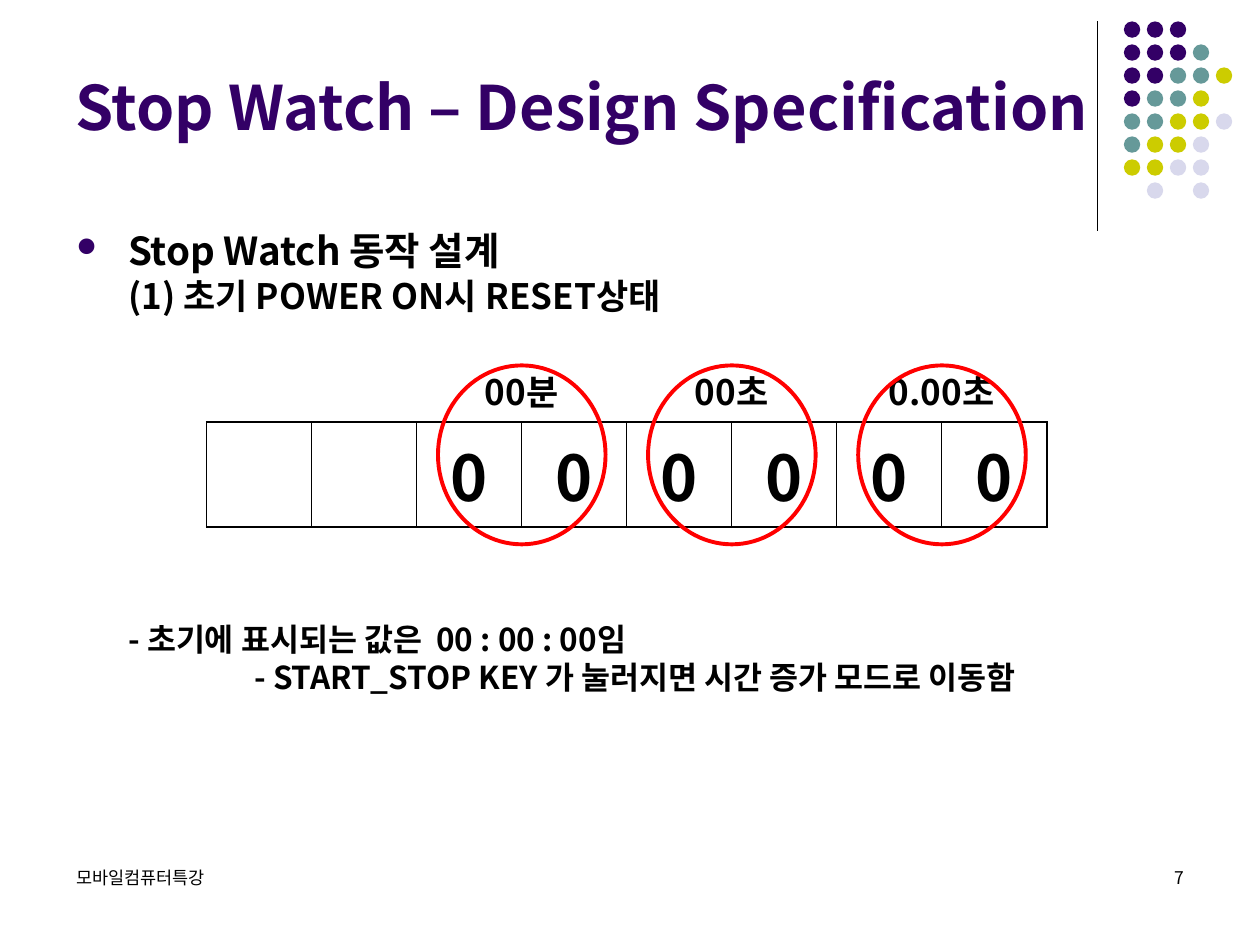
from dataclasses import dataclass

import pptx
import pptx.dml.color
import pptx.enum.shapes
import pptx.enum.text
import pptx.oxml.ns
import pptx.util
from lxml import etree
from pptx.dml.color import RGBColor
from pptx.util import Inches

FONT = "Noto Sans CJK KR"
BLACK = RGBColor(0x00, 0x00, 0x00)
RED = RGBColor(0xFF, 0x00, 0x00)
PURPLE = RGBColor(0x33, 0x00, 0x66)
TEAL = RGBColor(0x66, 0x99, 0x99)
OLIVE = RGBColor(0xCC, 0xCC, 0x00)
LAVENDER = RGBColor(0xD8, 0xD8, 0xEC)

ALIGN = pptx.enum.text.PP_ALIGN
ANCHOR = pptx.enum.text.MSO_ANCHOR
OVAL = pptx.enum.shapes.MSO_SHAPE.OVAL

# One letter per dot; a full stop is a gap
DOT_COLORS = {"P": PURPLE, "T": TEAL, "O": OLIVE, "L": LAVENDER}
DOT_ROWS = ["PPP", "PPPT", "PPTTO", "PTTO", "TTOOL", "TOOL", "OOLL", ".L.L"]
DOT_PITCH = 0.73 / 4

TABLE_LEFT, TABLE_TOP = 1.64, 2.65
COLUMN_COUNT = 8
COLUMN_WIDTH = 6.67 / COLUMN_COUNT
ROW_HEIGHTS = (0.7, 0.83)
THIN, THICK = 0.45, 1.08


@dataclass
class Line:
    text: str
    size: float
    color: RGBColor = BLACK
    bold: bool = True
    align: ALIGN = ALIGN.LEFT
    indent: float = 0
    before: float = 0
    bullet: bool = False


@dataclass
class TextArea:
    left: float
    top: float
    width: float
    height: float
    lines: list[Line]
    anchor: ANCHOR = ANCHOR.TOP


@dataclass
class Field:
    label: str
    first_column: int


FIELDS = [Field("00분", 2), Field("00초", 4), Field("0.00초", 6)]

TEXT_AREAS = [
    TextArea(0.5, 0.13, 8.25, 1.42,
             [Line("Stop Watch – Design Specification", 35, PURPLE)], ANCHOR.MIDDLE),
    TextArea(0.51, 1.75, 8.67, 0.95, [
        Line("Stop Watch 동작 설계", 22, indent=0.41, bullet=True),
        Line("(1) 초기 POWER ON시 RESET상태", 20, indent=0.41, before=1),
    ]),
    TextArea(0.51, 4.87, 8.67, 0.9, [
        Line("- 초기에 표시되는 값은  00 : 00 : 00임", 18, indent=0.41),
        Line("- START_STOP KEY\u00a0가 눌러지면 시간 증가 모드로 이동함", 18, indent=1.41),
    ]),
    TextArea(0.51, 6.83, 3.17, 0.5, [Line("모바일컴퓨터특강", 10, bold=False)]),
    TextArea(7.17, 6.83, 2.33, 0.5, [Line("7", 10, bold=False, align=ALIGN.RIGHT)]),
]


def add_element(parent, tag: str, **attributes: str):
    return etree.SubElement(parent, pptx.oxml.ns.qn(tag), **attributes)


def write_line(para, line: Line) -> None:
    para.text = line.text
    para.alignment = line.align
    if line.before:
        para.space_before = pptx.util.Pt(line.before)
    properties = para._p.get_or_add_pPr()
    if line.indent:
        properties.set("marL", str(Inches(line.indent)))
    if line.bullet:
        properties.set("indent", str(-Inches(line.indent)))
        color = add_element(properties, "a:buClr")
        add_element(color, "a:srgbClr", val=str(PURPLE))
        add_element(properties, "a:buSzPct", val="70000")
        add_element(properties, "a:buFont", typeface="Wingdings")
        add_element(properties, "a:buChar", char="l")
    for span in para.runs:
        span.font.size = pptx.util.Pt(line.size)
        span.font.bold = line.bold
        span.font.color.rgb = line.color
        span.font.name = FONT
        add_element(span._r.get_or_add_rPr(), "a:ea", typeface=FONT)


def draw_text(page, area: TextArea) -> None:
    box = page.shapes.add_textbox(Inches(area.left), Inches(area.top),
                                  Inches(area.width), Inches(area.height))
    frame = box.text_frame
    frame.word_wrap = True
    frame.vertical_anchor = area.anchor
    for index, line in enumerate(area.lines):
        para = frame.add_paragraph() if index else frame.paragraphs[0]
        write_line(para, line)


def add_oval(page, left: float, top: float, width: float, height: float):
    oval = page.shapes.add_shape(OVAL, Inches(left), Inches(top),
                                 Inches(width), Inches(height))
    oval.shadow.inherit = False
    return oval


def draw_corner(page) -> None:
    rule = page.shapes.add_connector(pptx.enum.shapes.MSO_CONNECTOR.STRAIGHT,
                                     Inches(8.71), Inches(0.17),
                                     Inches(8.71), Inches(1.83))
    rule.line.color.rgb = BLACK
    rule.line.width = pptx.util.Pt(0.75)
    add_element(rule._element.spPr, "a:effectLst")
    for row, letters in enumerate(DOT_ROWS):
        for column, letter in enumerate(letters):
            if letter in DOT_COLORS:
                dot = add_oval(page, 8.92 + column * DOT_PITCH,
                               0.17 + row * DOT_PITCH, 0.13, 0.13)
                dot.fill.solid()
                dot.fill.fore_color.rgb = DOT_COLORS[letter]
                dot.line.fill.background()


def set_border(cell, side: str, width: float) -> None:
    """Draw one side of a cell; a width of zero leaves it open."""
    border = add_element(cell._tc.get_or_add_tcPr(), f"a:ln{side}",
                         w=str(pptx.util.Pt(width)))
    if width:
        fill = add_element(border, "a:solidFill")
        add_element(fill, "a:srgbClr", val=str(BLACK))
    else:
        add_element(border, "a:noFill")


def draw_display(page) -> None:
    table = page.shapes.add_table(
        2, COLUMN_COUNT, Inches(TABLE_LEFT), Inches(TABLE_TOP),
        Inches(COLUMN_WIDTH * COLUMN_COUNT), Inches(sum(ROW_HEIGHTS))).table
    table.first_row = table.horz_banding = False
    for column in table.columns:
        column.width = Inches(COLUMN_WIDTH)
    for row, height in zip(table.rows, ROW_HEIGHTS):
        row.height = Inches(height)

    # Open label row above a framed digit row
    for column in range(COLUMN_COUNT):
        left = THICK if column == 0 else THIN
        right = THICK if column == COLUMN_COUNT - 1 else THIN
        for row, widths in enumerate([(0, 0, 0, THICK), (left, right, THICK, THICK)]):
            cell = table.cell(row, column)
            for side, width in zip("LRTB", widths):
                set_border(cell, side, width)
            cell.fill.background()

    for field in FIELDS:
        first = field.first_column
        label = table.cell(0, first)
        label.merge(table.cell(0, first + 1))
        label.vertical_anchor = ANCHOR.BOTTOM
        write_line(label.text_frame.paragraphs[0],
                   Line(field.label, 20, align=ALIGN.CENTER))
        for column in (first, first + 1):
            write_line(table.cell(1, column).text_frame.paragraphs[0],
                       Line("0", 36, align=ALIGN.CENTER))

    # Red ring centred on each pair of digits
    for field in FIELDS:
        center = TABLE_LEFT + (field.first_column + 1) * COLUMN_WIDTH
        ring = add_oval(page, center - 1.33 / 2, 2.9, 1.33, 1.42)
        ring.fill.background()
        ring.line.color.rgb = RED
        ring.line.width = pptx.util.Pt(2.25)


def main() -> None:
    deck = pptx.Presentation()
    deck.slide_width, deck.slide_height = Inches(10), Inches(7.5)
    page = deck.slides.add_slide(deck.slide_layouts[6])
    draw_corner(page)
    for area in TEXT_AREAS:
        draw_text(page, area)
    draw_display(page)
    deck.save("out.pptx")


if __name__ == "__main__":
    main()
